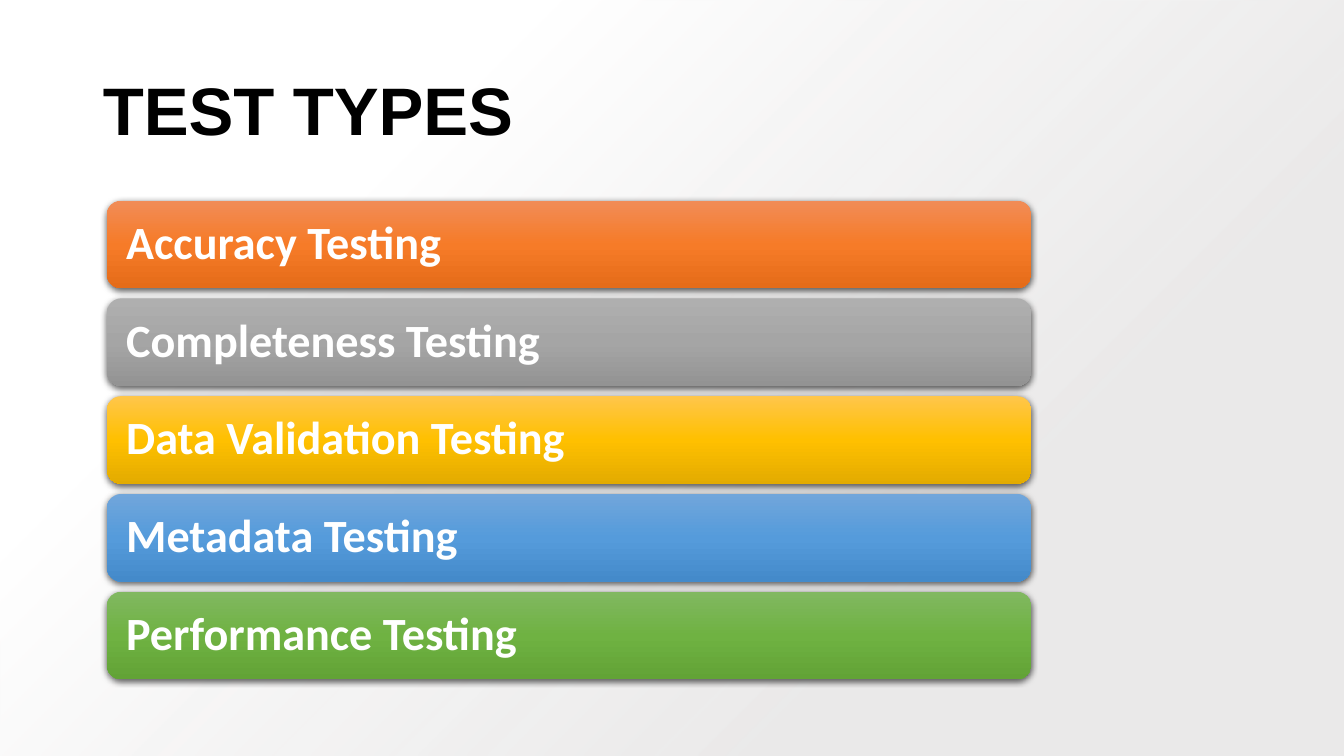
from lxml import etree
from pptx import Presentation
from pptx.dml.color import RGBColor
from pptx.enum.shapes import MSO_SHAPE as Preset
from pptx.enum.text import MSO_ANCHOR as Anchor, PP_ALIGN as Align
from pptx.oxml import parse_xml
from pptx.oxml.ns import nsdecls, qn
from pptx.util import Inches, Pt

TEST_TYPES = [
    ("Accuracy Testing", ("F18C57", "F67B28", "E56C19")),
    ("Completeness Testing", ("AFAFAF", "A5A5A5", "939393")),
    ("Data Validation Testing", ("FFC64B", "FFC000", "E3AB00")),
    ("Metadata Testing", ("71A6DB", "559BDB", "448ACA")),
    ("Performance Testing", ("81B861", "6FB242", "62A336")),
]
BAR_TOP, BAR_PITCH = 1.99, 0.97
DOWNWARD = '<a:lin ang="5400000" scaled="0"/>'
FROM_BOTTOM_RIGHT = '<a:path path="circle"><a:fillToRect l="100000" t="100000"/></a:path>'


def rgb(hex_color):
    return RGBColor.from_string(hex_color)


class SlideBuilder:
    """Holds the text style and the slide being filled."""

    title_font, bar_font = "Arial", "Calibri"
    title_color, bar_text_color = "000000", "FFFFFF"

    def __init__(self, slide):
        self.slide = slide

    def set_wording(self, frame, wording, font_name, size, color):
        """Put one bold, left-aligned line in the vertical middle of a frame."""
        frame.text = wording
        frame.word_wrap = True
        frame.vertical_anchor = Anchor.MIDDLE
        line = frame.paragraphs[0]
        line.alignment = Align.LEFT
        line.line_spacing = 0.9
        font = line.runs[0].font
        font.name, font.size, font.bold = font_name, Pt(size), True
        font.color.rgb = rgb(color)

    def gradient_shape(self, preset, left, top, width, height, stops, direction):
        """Add a borderless shape; stops are (percent, colour, opacity percent)."""
        shape = self.slide.shapes.add_shape(
            preset, Inches(left), Inches(top), Inches(width), Inches(height))
        shape.line.fill.background()
        shape.shadow.inherit = False
        stop_xml = "".join(
            f'<a:gs pos="{position * 1000}"><a:srgbClr val="{color}">'
            f'<a:alpha val="{opacity * 1000}"/></a:srgbClr></a:gs>'
            for position, color, opacity in stops)
        gradient = parse_xml(
            f'<a:gradFill {nsdecls("a")} rotWithShape="1">'
            f'<a:gsLst>{stop_xml}</a:gsLst>{direction}</a:gradFill>')
        shape.element.spPr.find(qn("a:prstGeom")).addnext(gradient)
        return shape

    def title(self, wording):
        heading = self.slide.shapes.title
        heading.left, heading.top = Inches(0.92), Inches(0.4)
        heading.width, heading.height = Inches(11.5), Inches(1.45)
        self.set_wording(heading.text_frame, wording, self.title_font, 48, self.title_color)

    def backdrop(self):
        backdrop = self.gradient_shape(
            Preset.RECTANGLE, 0, 0, 13.34, 7.5,
            [(28, "E7E6E6", 84), (74, "FFFFFF", 100)], FROM_BOTTOM_RIGHT)
        self.slide.shapes.title.element.addprevious(backdrop.element)

    def bar(self, top, wording, colors):
        bar = self.gradient_shape(
            Preset.ROUNDED_RECTANGLE, 1.06, top, 9.17, 0.87,
            [(50 * i, color, 100) for i, color in enumerate(colors)], DOWNWARD)
        self.drop_shadow(bar)
        frame = bar.text_frame
        # The rounded corners already inset the text by about 0.04 inches.
        frame.margin_left = frame.margin_right = Inches(0.15)
        frame.margin_top = frame.margin_bottom = Inches(0.1)
        self.set_wording(frame, wording, self.bar_font, 33, self.bar_text_color)

    def drop_shadow(self, shape):
        effects = shape.element.spPr.find(qn("a:effectLst"))
        shadow = etree.SubElement(
            effects, qn("a:outerShdw"), blurRad=str(Pt(4.5)), dist=str(Pt(1.5)),
            dir="5400000", algn="ctr", rotWithShape="0")
        color = etree.SubElement(shadow, qn("a:srgbClr"), val="000000")
        etree.SubElement(color, qn("a:alpha"), val="63000")


def main():
    deck = Presentation()
    deck.slide_width, deck.slide_height = Inches(13.33), Inches(7.5)
    builder = SlideBuilder(deck.slides.add_slide(deck.slide_layouts[5]))
    builder.backdrop()
    builder.title("TEST TYPES")
    for row, (test_type, colors) in enumerate(TEST_TYPES):
        builder.bar(BAR_TOP + row * BAR_PITCH, test_type, colors)
    deck.save("out.pptx")


if __name__ == "__main__":
    main()
